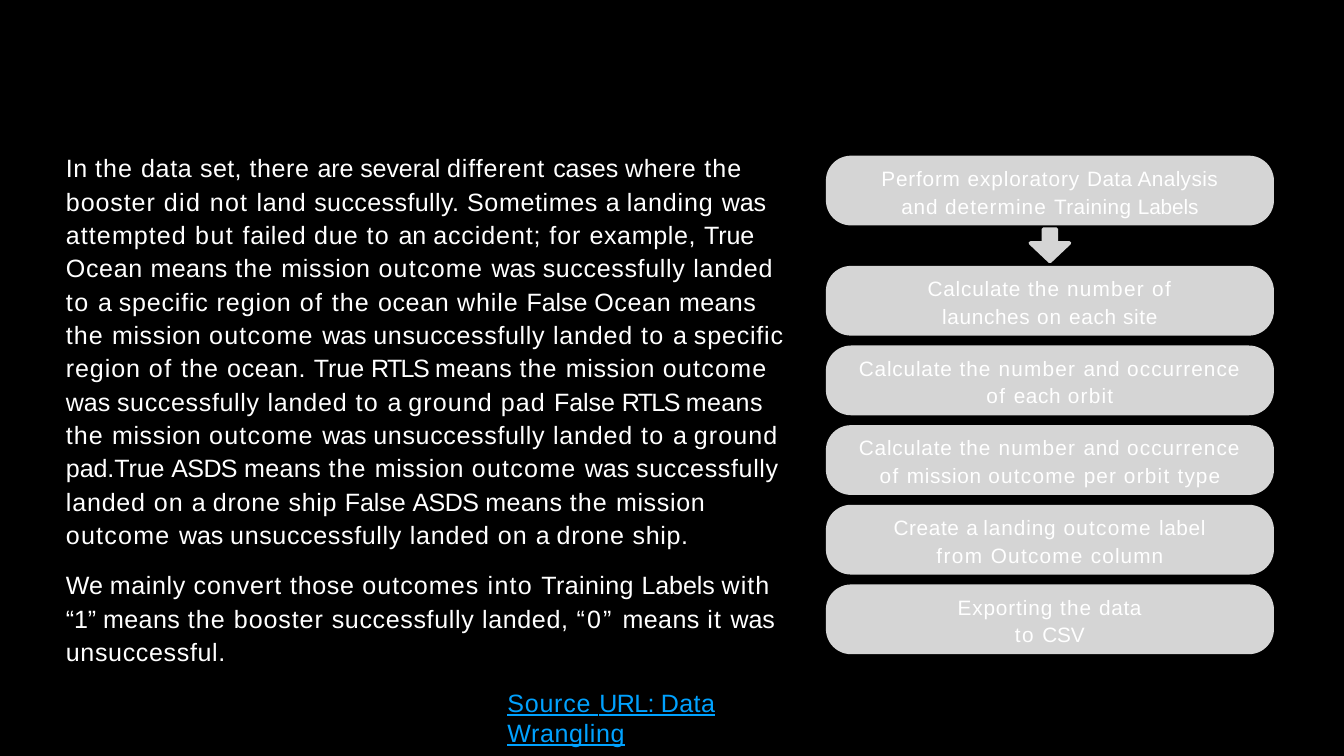
"""Build the data wrangling slide: prose on the left, steps on the right."""
from dataclasses import dataclass
from itertools import groupby

from pptx import Presentation
from pptx.dml.color import RGBColor
from pptx.enum.shapes import MSO_SHAPE
from pptx.enum.text import MSO_ANCHOR, MSO_AUTO_SIZE, PP_ALIGN
from pptx.oxml.ns import qn
from pptx.slide import Slide
from pptx.text.text import _Paragraph as Para
from pptx.util import Cm, Pt

ROUND, DOWN = MSO_SHAPE.ROUNDED_RECTANGLE, MSO_SHAPE.DOWN_ARROW
MIDDLE, TOP = MSO_ANCHOR.MIDDLE, MSO_ANCHOR.TOP
LEFT, CENTER = PP_ALIGN.LEFT, PP_ALIGN.CENTER
FIXED = MSO_AUTO_SIZE.NONE

COLORS = {"back": "000000", "text": "FFFFFF", "link": "00A2FF", "step": "D5D5D5"}
FACE = "Arial"

TRACKS = {
    -1.8: "RTLS",
    -0.6: "ASDS URL:",
    0: "are several cases a an was True pad.True False We Labels “1” CSV",
    0.6: "In set, successfully. means Training Data Analysis",
    1.1: "specific landed drone Perform Calculate and Source",
    1.2: "different booster landing region due for accident; convert "
         "while exploratory Exporting",
    1.4: "the attempted ground pad on with outcomes determine column per type "
         "occurrence",
    1.6: "not outcome Outcome it into number orbit",
    1.8: "did but to of from",
    2.6: "“0”",
}
TRACK = {word: size for size, words in TRACKS.items() for word in words.split()}
PLAIN, TIGHTEN = 0.9, 0.13

STEP_X, STEP_W, STEP_H = 34.32, 18.62, 2.9
FIRST_Y, NEXT_Y, PITCH = 6.47, 11.05, 3.31
ARROW_W, ARROW_H, ARROW_Y = 1.63, 1.35, 9.52


@dataclass
class Block:
    text: str
    before: float = 0
    indent: float = 0
    leading: float = 1.11
    color: str = "text"
    line: bool = False


BLOCKS = [
    Block("In the data set, there are several different cases where the booster did "
          "not land successfully. Sometimes a landing was attempted but failed due "
          "to an accident; for example, True Ocean means the mission outcome was "
          "successfully landed to a specific region of the ocean while False Ocean "
          "means the mission outcome was unsuccessfully landed to a specific region "
          "of the ocean. True RTLS means the mission outcome was successfully landed "
          "to a ground pad False RTLS means the mission outcome was unsuccessfully "
          "landed to a ground pad.True ASDS means the mission outcome was "
          "successfully landed on a drone ship False ASDS means the mission outcome "
          "was unsuccessfully landed on a drone ship."),
    Block("We mainly convert those outcomes into Training Labels with “1” means the "
          "booster successfully landed, “0” means it was unsuccessful.", 19.8),
    Block("Source URL: Data Wrangling", 24.4, 18.34, 1, "link", True),
]

STEPS = [
    "Perform exploratory Data Analysis\nand determine Training Labels",
    "Calculate the number of\nlaunches on each site",
    "Calculate the number and occurrence\nof each orbit",
    "Calculate the number and occurrence\nof mission outcome per orbit type",
    "Create a landing outcome label\nfrom Outcome column",
    "Exporting the data\nto CSV",
]


def paint(name: str) -> RGBColor:
    return RGBColor.from_string(COLORS[name])


def add_words(para: Para, text: str) -> None:
    for row, line in enumerate(text.split("\n")):
        if row:
            para.add_line_break()
        words = [word + " " for word in line.split()]
        words[-1] = words[-1].strip()
        for size, group in groupby(words, lambda word: TRACK.get(word.strip(), PLAIN)):
            run = para.add_run()
            run.text = "".join(group)
            run._r.get_or_add_rPr().set("spc", str(round((size - TIGHTEN) * 100)))


def style(para: Para, block: Block, size: float, align: PP_ALIGN) -> None:
    props = para._p.get_or_add_pPr()
    props.set("marL", str(Cm(block.indent)))
    props.set("indent", "0")
    para.alignment = align
    para.line_spacing = block.leading
    para.space_before = Pt(block.before)
    props.append(props.makeelement(qn("a:buNone"), {}))
    font = para.font
    font.name, font.size = FACE, Pt(size)
    font.color.rgb = paint(block.color)
    font.underline = block.line
    add_words(para, block.text)


def add_prose(slide: Slide) -> None:
    slide.shapes.title.element.getparent().remove(slide.shapes.title.element)
    body = slide.placeholders[1]
    body.left, body.top, body.width, body.height = Cm(2.74), Cm(6.21), Cm(30.08), Cm(23.8)
    frame = body.text_frame
    frame.margin_left = frame.margin_right = frame.margin_top = frame.margin_bottom = 0
    frame.auto_size, frame.vertical_anchor, frame.word_wrap = FIXED, TOP, True
    for row, block in enumerate(BLOCKS):
        para = frame.add_paragraph() if row else frame.paragraphs[0]
        style(para, block, 29.5, LEFT)


def add_step(slide: Slide, text: str, top: float) -> None:
    step = slide.shapes.add_shape(ROUND, Cm(STEP_X), Cm(top), Cm(STEP_W), Cm(STEP_H))
    step.adjustments[0] = 0.36
    step.shadow.inherit = False
    step.fill.solid()
    step.fill.fore_color.rgb = paint("step")
    step.line.fill.background()
    frame = step.text_frame
    frame.margin_left = frame.margin_right = frame.margin_top = frame.margin_bottom = 0
    frame.word_wrap, frame.vertical_anchor = True, MIDDLE
    style(frame.paragraphs[0], Block(text), 24.5, CENTER)


def add_arrow(slide: Slide) -> None:
    left = STEP_X + (STEP_W - ARROW_W) / 2
    arrow = slide.shapes.add_shape(DOWN, Cm(left), Cm(ARROW_Y), Cm(ARROW_W), Cm(ARROW_H))
    arrow.adjustments[0], arrow.adjustments[1] = 0.33, 0.57
    arrow.shadow.inherit = False
    arrow.fill.solid()
    arrow.fill.fore_color.rgb = paint("step")
    arrow.line.color.rgb = paint("step")
    arrow.line.width = Pt(4.12)


def main() -> None:
    deck = Presentation()
    deck.slide_width, deck.slide_height = Cm(55.85), Cm(31.42)
    slide = deck.slides.add_slide(deck.slide_layouts[1])
    slide.background.fill.solid()
    slide.background.fill.fore_color.rgb = paint("back")
    add_prose(slide)
    for row, text in enumerate(STEPS):
        add_step(slide, text, NEXT_Y + PITCH * (row - 1) if row else FIRST_Y)
    add_arrow(slide)
    deck.save("out.pptx")


if __name__ == "__main__":
    main()
